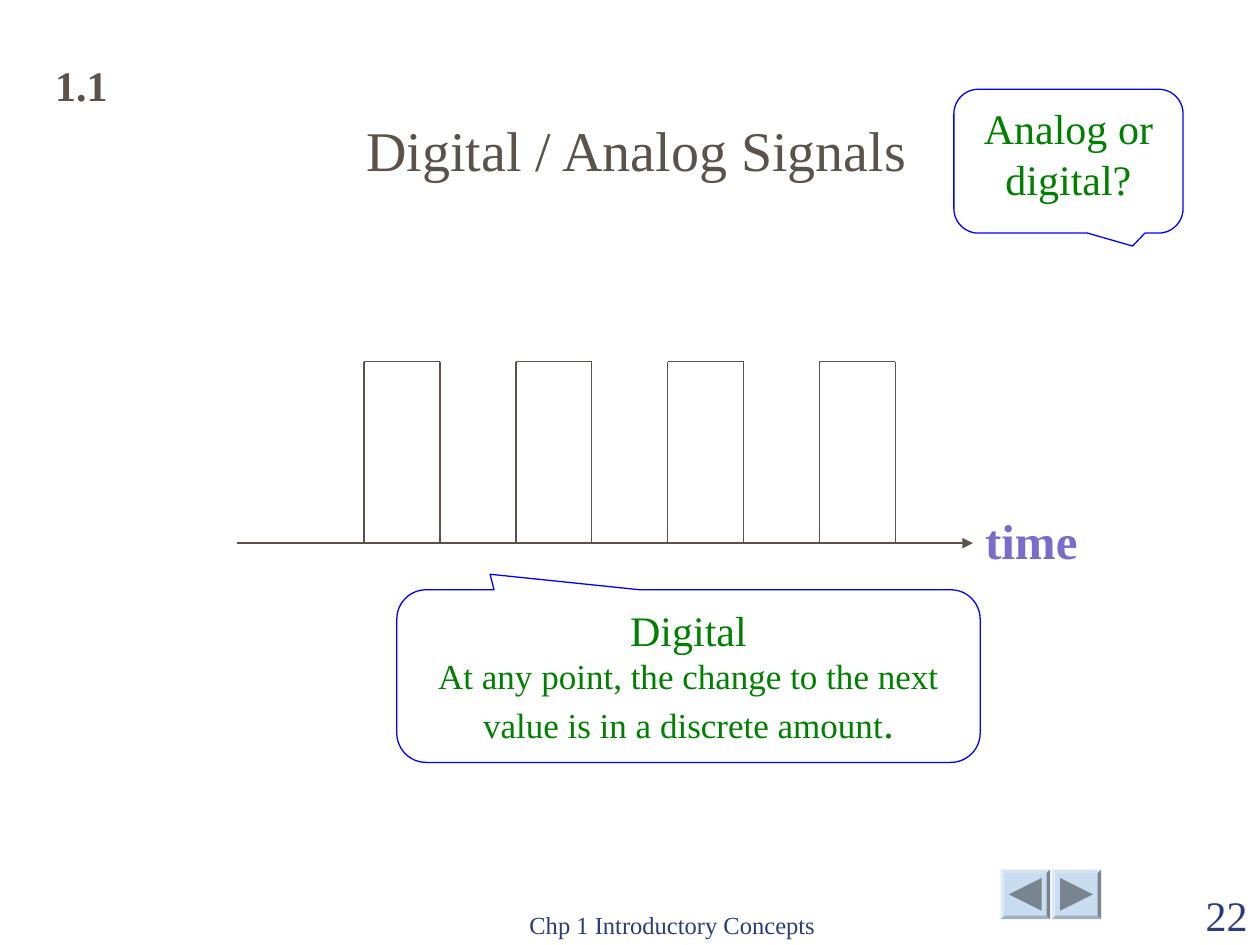
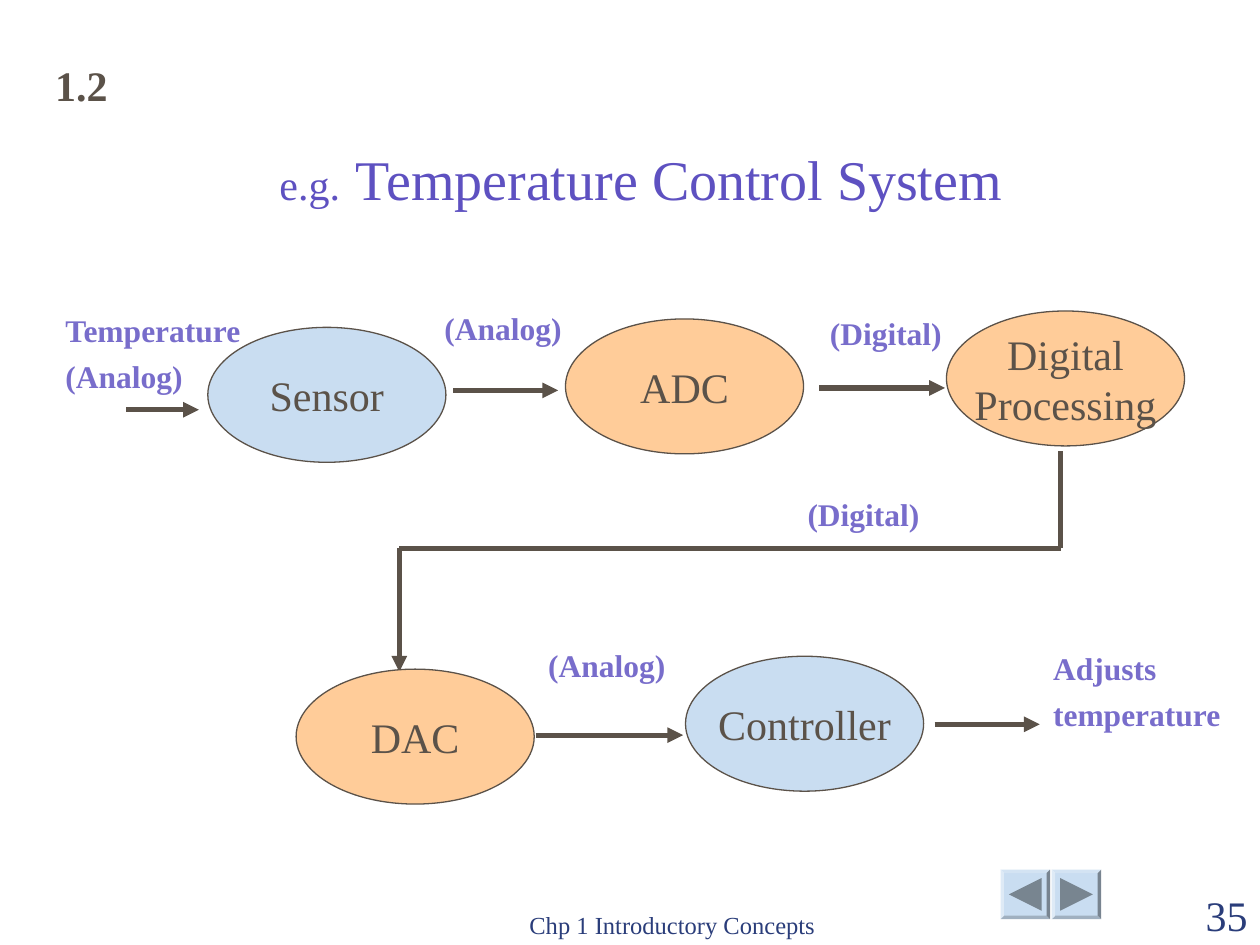
from dataclasses import dataclass

from lxml import etree
from pptx import Presentation
from pptx.dml.color import RGBColor
from pptx.enum.shapes import MSO_CONNECTOR, MSO_SHAPE
from pptx.enum.text import MSO_ANCHOR, MSO_AUTO_SIZE, PP_ALIGN
from pptx.oxml.ns import qn
from pptx.util import Cm, Pt

LEFT, CENTER, RIGHT = PP_ALIGN.LEFT, PP_ALIGN.CENTER, PP_ALIGN.RIGHT
TOP, MIDDLE, BOTTOM = MSO_ANCHOR.TOP, MSO_ANCHOR.MIDDLE, MSO_ANCHOR.BOTTOM
STRAIGHT = MSO_CONNECTOR.STRAIGHT
CALLOUT = MSO_SHAPE.ROUNDED_RECTANGULAR_CALLOUT
TITLE_ONLY = 5


@dataclass(frozen=True)
class Style:
    size: int
    color: str
    bold: bool = False


class Theme:
    font = "Times New Roman"
    ink = "5B5249"
    violet = "5E51C1"
    pale_blue = "C9DDF1"
    peach = "FFCC99"
    callout_line = "0000FF"
    button_arrow = "788590"
    thin, axis, thick = 0.75, 1.5, 3
    section = Style(24, ink, True)
    footer = Style(14, "2A3D7A")
    page = Style(24, "2A3D7A")
    title = Style(32, ink)
    example_title = Style(32, violet)
    example_prefix = Style(24, violet)
    example_gap = Style(36, violet, True)
    axis_label = Style(28, "786DCB", True)
    signal_label = Style(18, "786DCB", True)
    node = Style(24, ink)
    callout = Style(24, "008000")
    callout_body = Style(20, "008000")


FOOTER = "Chp 1 Introductory Concepts"
BUTTONS = [(20.17, 270), (21.2, 90)]
BUTTON_TOP, BUTTON_SIZE, BUTTON_ARROW_SIZE = 17.53, 1.0, 0.66

SIGNALS = {
    "section": "1.1", "page": "22", "align": CENTER,
    "title": [("Digital / Analog Signals", Theme.title)],
    "title_box": (1.72, 2.11, 22.23, 1.7),
}
CONTROL = {
    "section": "1.2", "page": "35", "align": LEFT,
    "title": [("e.g.", Theme.example_prefix), (" ", Theme.example_gap),
              ("Temperature Control System", Theme.example_title)],
    "title_box": (5.38, 2.72, 15.75, 1.7),
}

TIME_AXIS = ((4.78, 10.95), (19.61, 10.95))
PULSE_COUNT, FIRST_PULSE, PULSE_WIDTH = 4, 7.34, 1.53
PULSE_TOP, PULSE_BASE = 7.29, 10.95

CALLOUTS = [
    ((19.23, 1.8, 4.62, 2.9), (0.28, 0.59, 0.17),
     [[("Analog or digital?", Theme.callout)]]),
    ((8.0, 11.89, 11.76, 3.48), (-0.34, -0.59, 0.17),
     [[("Digital", Theme.callout)],
      [("At any point, the change to the next value is in a discrete amount",
        Theme.callout_body), (".", Theme.callout)]]),
]

NODE_SIZE = (4.8, 2.72)
NODES = [
    (["Sensor"], 4.19, 6.6, Theme.pale_blue),
    (["ADC"], 11.4, 6.43, Theme.peach),
    (["Digital", "Processing"], 19.08, 6.27, Theme.peach),
    (["DAC"], 5.97, 13.49, Theme.peach),
    (["Controller"], 13.82, 13.23, Theme.pale_blue),
]
ROUTES = [
    [(2.54, 8.26), (4.01, 8.26)],
    [(9.14, 7.87), (11.25, 7.87)],
    [(16.51, 7.82), (19.05, 7.82)],
    [(21.38, 9.1), (21.38, 11.05), (8.05, 11.05), (8.05, 13.54)],
    [(10.8, 14.82), (13.77, 14.82)],
    [(18.84, 14.6), (20.96, 14.6)],
]
SIGNAL_LABELS = [
    (["Temperature", "(Analog)"], (1.07, 6.35, 4.09, 1.73)),
    (["(Analog)"], (8.71, 6.1, 2.87, 1.02)),
    (["(Digital)"], (16.48, 6.2, 2.87, 1.02)),
    (["(Digital)"], (16.03, 9.86, 2.87, 1.02)),
    (["(Analog)"], (10.8, 12.9, 2.87, 1.02)),
    (["Adjusts", "temperature"], (20.98, 13.16, 3.89, 1.73)),
]


def lengths(values):
    return [Cm(value) for value in values]


def rgb(color):
    return RGBColor.from_string(color)


def one_style(lines, style):
    return [[(line, style)] for line in lines]


def write(shape, paragraphs, align=LEFT, anchor=TOP, wrap=True):
    frame = shape.text_frame
    frame.auto_size = MSO_AUTO_SIZE.NONE
    frame.word_wrap = wrap
    frame.vertical_anchor = anchor
    for index, pieces in enumerate(paragraphs):
        paragraph = frame.add_paragraph() if index else frame.paragraphs[0]
        paragraph.alignment = align
        for text, style in pieces:
            run = paragraph.add_run()
            run.text = text
            run.font.name = Theme.font
            run.font.size = Pt(style.size)
            run.font.bold = style.bold
            run.font.color.rgb = rgb(style.color)
    return frame


def add_text(slide, box, lines, style, **layout):
    shape = slide.shapes.add_textbox(*lengths(box))
    return write(shape, one_style(lines, style), **layout)


def add_shape(slide, kind, box, fill=None, line=None):
    shape = slide.shapes.add_shape(kind, *lengths(box))
    shape.shadow.inherit = False
    if fill:
        shape.fill.solid()
        shape.fill.fore_color.rgb = rgb(fill)
    else:
        shape.fill.background()
    if line:
        shape.line.color.rgb = rgb(line)
        shape.line.width = Pt(Theme.thin)
    else:
        shape.line.fill.background()
    return shape


def add_route(slide, points, width, arrow=True):
    for start, end in zip(points, points[1:]):
        connector = slide.shapes.add_connector(STRAIGHT, *lengths(start + end))
        connector.line.color.rgb = rgb(Theme.ink)
        connector.line.width = Pt(width)
        properties = connector.element.spPr
        etree.SubElement(properties, qn("a:effectLst"))
        if arrow and end == points[-1]:
            outline = properties.find(qn("a:ln"))
            etree.SubElement(outline, qn("a:tailEnd"), type="triangle")


def add_buttons(slide):
    margin = (BUTTON_SIZE - BUTTON_ARROW_SIZE) / 2
    for left, rotation in BUTTONS:
        button = add_shape(slide, MSO_SHAPE.BEVEL,
                           (left, BUTTON_TOP, BUTTON_SIZE, BUTTON_SIZE), Theme.pale_blue)
        button.adjustments[0] = 0.07
        arrow = add_shape(slide, MSO_SHAPE.ISOSCELES_TRIANGLE,
                          (left + margin, BUTTON_TOP + margin,
                           BUTTON_ARROW_SIZE, BUTTON_ARROW_SIZE), Theme.button_arrow)
        arrow.rotation = rotation


def start_slide(presentation, content):
    slide = presentation.slides.add_slide(presentation.slide_layouts[TITLE_ONLY])
    title = slide.shapes.title
    title.left, title.top, title.width, title.height = lengths(content["title_box"])
    write(title, [content["title"]], content["align"], BOTTOM)
    add_buttons(slide)
    add_text(slide, (9.53, 17.8, 8.05, 1.27), [FOOTER], Theme.footer,
             align=CENTER, anchor=BOTTOM)
    add_text(slide, (22.86, 17.8, 2.54, 1.27), [content["page"]], Theme.page,
             align=RIGHT, anchor=BOTTOM)
    add_text(slide, (0.86, 1.07, 1.55, 1.27), [content["section"]], Theme.section,
             wrap=False)
    return slide


def build_signals(presentation):
    slide = start_slide(presentation, SIGNALS)
    add_route(slide, TIME_AXIS, Theme.axis)
    add_text(slide, (19.61, 10.16, 2.36, 1.45), ["time"], Theme.axis_label, wrap=False)
    wave = [(FIRST_PULSE - PULSE_WIDTH, PULSE_BASE)]
    for index in range(PULSE_COUNT):
        rise = FIRST_PULSE + 2 * PULSE_WIDTH * index
        fall = rise + PULSE_WIDTH
        wave += [(rise, PULSE_BASE), (rise, PULSE_TOP),
                 (fall, PULSE_TOP), (fall, PULSE_BASE)]
    wave.append((fall + PULSE_WIDTH, PULSE_BASE))
    add_route(slide, wave, Theme.thin, arrow=False)
    for box, adjustments, paragraphs in CALLOUTS:
        callout = add_shape(slide, CALLOUT, box, line=Theme.callout_line)
        for index, value in enumerate(adjustments):
            callout.adjustments[index] = value
        write(callout, paragraphs, CENTER)


def build_control(presentation):
    slide = start_slide(presentation, CONTROL)
    for points in ROUTES:
        add_route(slide, points, Theme.thick)
    for lines, box in SIGNAL_LABELS:
        frame = add_text(slide, box, lines, Theme.signal_label, wrap=False)
        if len(lines) > 1:
            for paragraph in frame.paragraphs:
                paragraph.line_spacing = 0.7
            for paragraph in frame.paragraphs[1:]:
                paragraph.space_before = Pt(11.2)
    for lines, left, top, fill in NODES:
        node = add_shape(slide, MSO_SHAPE.OVAL, (left, top, *NODE_SIZE), fill, Theme.ink)
        write(node, one_style(lines, Theme.node), CENTER, MIDDLE, wrap=False)


def main():
    presentation = Presentation()
    presentation.slide_width, presentation.slide_height = Cm(25.4), Cm(19.05)
    build_signals(presentation)
    build_control(presentation)
    presentation.save("out.pptx")


if __name__ == "__main__":
    main()
